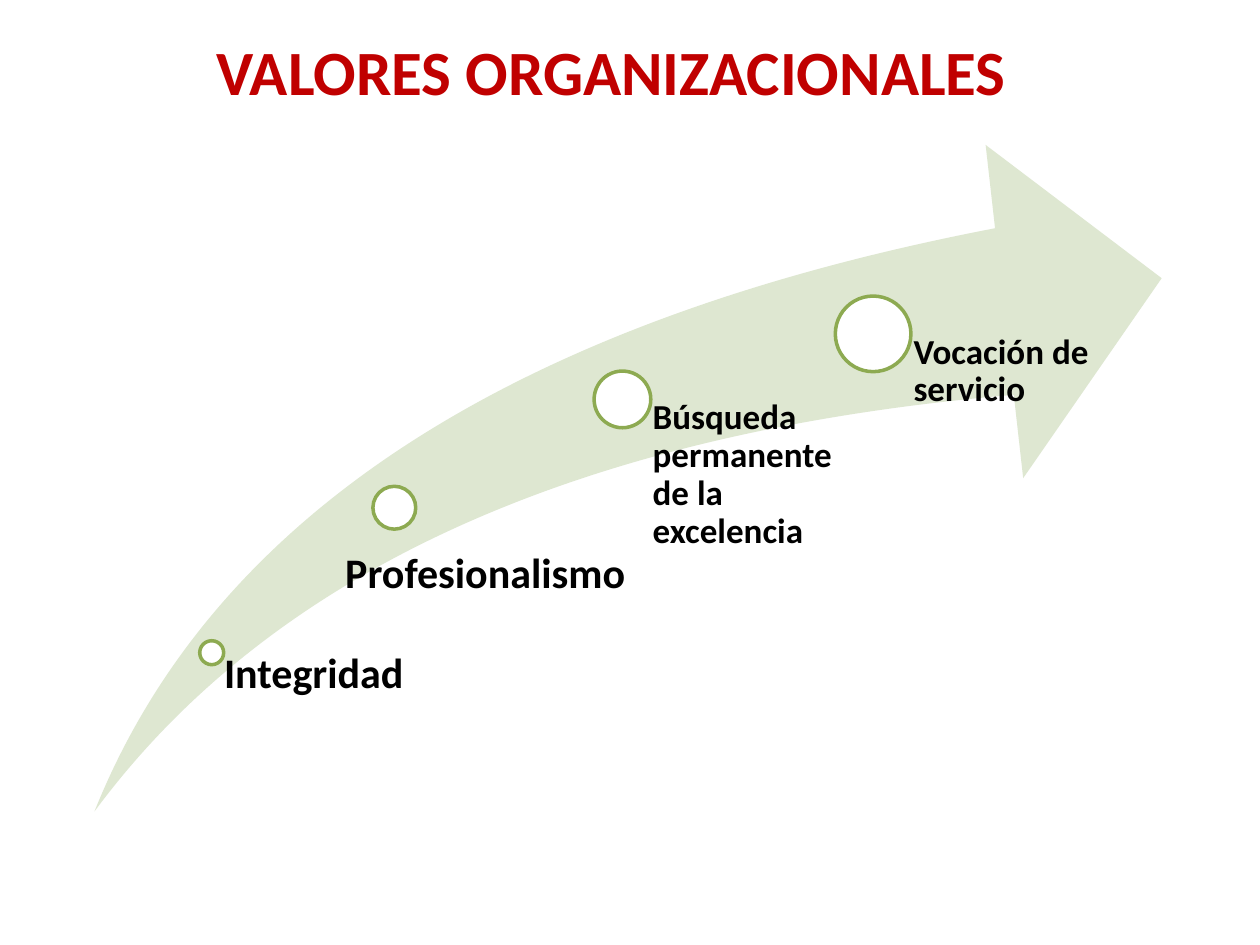
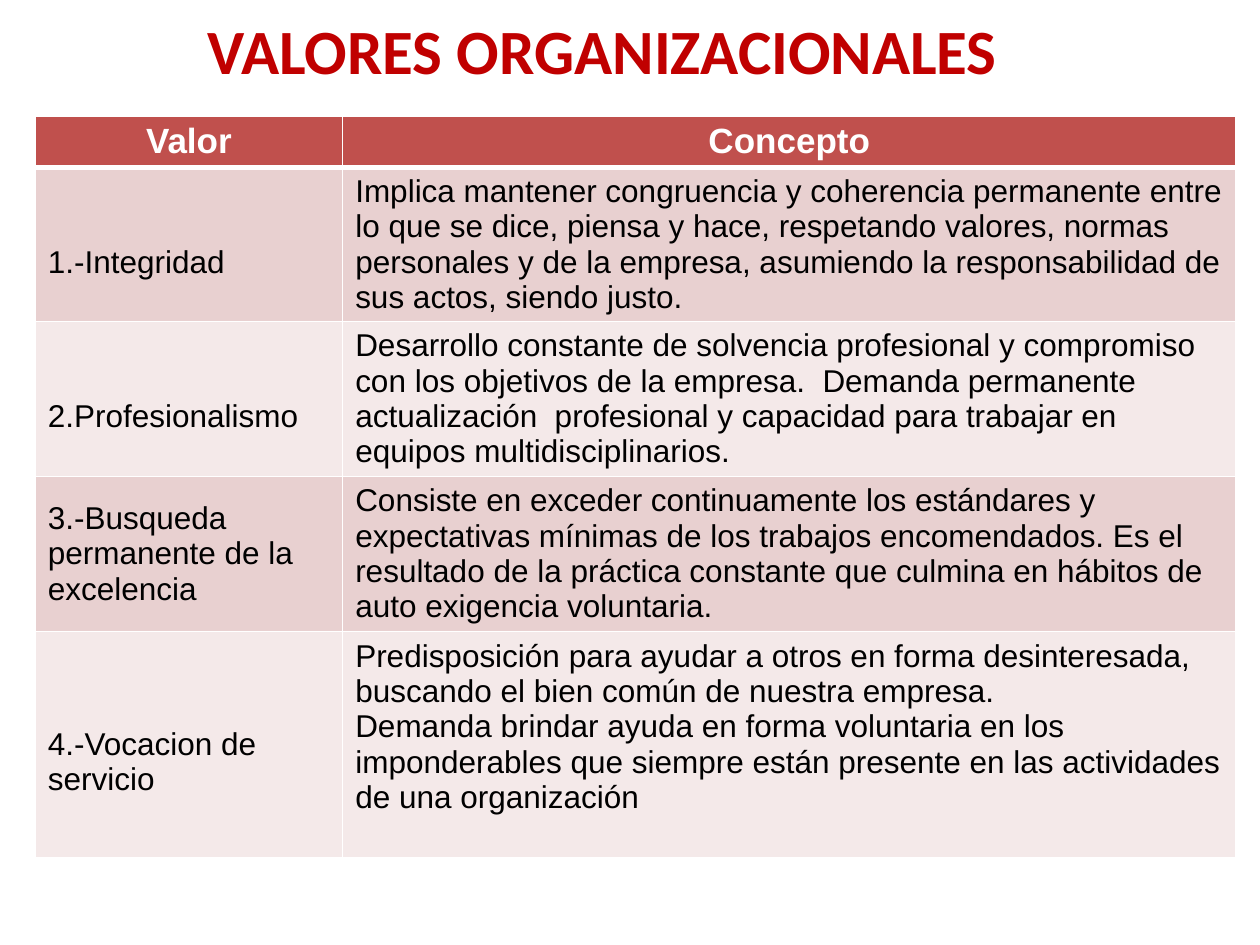
"""Builds two slides on organisational values: a rising arrow and a table."""
from lxml.etree import fromstring
from pptx import Presentation
from pptx.dml.color import RGBColor
from pptx.enum.shapes import MSO_SHAPE
from pptx.enum.text import MSO_ANCHOR, PP_ALIGN
from pptx.oxml.ns import nsdecls
from pptx.util import Inches, Pt

TITLE = "VALORES ORGANIZACIONALES"
HUES = {
    "title": "C00000", "swoosh": "DEE7D1", "ring": "8DAA51", "head": "C0504D",
    "odd": "E8D0D0", "even": "F4E9E9", "white": "FFFFFF", "black": "000000",
}

ARROW = (0.75, 1.15, 8.47, 5.29)
BASE = ARROW[1] + ARROW[3]
# label, size, circle centre, diameter, label corner (None: the centre), width, inset
STEPS = [
    ("Integridad", 24, (1.68, 5.18), 0.19, None, 2.2, 0.1),
    ("Profesionalismo", 24, (3.13, 4.03), 0.34, (2.56, 4.38), 2.68, 0.18),
    ("Búsqueda permanente de la excelencia", 20, (4.94, 3.17), 0.45, None, 1.78, 0.24),
    ("Vocación de servicio", 20, (6.93, 2.65), 0.6, None, 1.78, 0.32),
]

HEADS = ("Valor", "Concepto")
COLS = (2.44, 7.09)
ROWS = (0.41, 1.22, 1.23, 1.23, 1.8)
PAD, LINE = 0.05, 0.28
# value, paragraphs, extra lines above the value, extra lines below the concept
VALUES = [
    ("1.-Integridad", [
        "Implica mantener congruencia y coherencia permanente entre lo que se dice, "
        "piensa y hace, respetando valores, normas personales y de la empresa, "
        "asumiendo la responsabilidad de sus actos, siendo justo."], 1, 0),
    ("2.Profesionalismo", [
        "Desarrollo constante de solvencia profesional y compromiso con los objetivos "
        "de la empresa.  Demanda permanente actualización  profesional y capacidad "
        "para trabajar en equipos multidisciplinarios."], 1, 0),
    ("3.-Busqueda permanente de la excelencia", [
        "Consiste en exceder continuamente los estándares y expectativas mínimas de "
        "los trabajos encomendados. Es el resultado de la práctica constante que "
        "culmina en hábitos de auto exigencia voluntaria."], 0, 0),
    ("4.-Vocacion de servicio", [
        "Predisposición para ayudar a otros en forma desinteresada, buscando el bien "
        "común de nuestra empresa.",
        "Demanda brindar ayuda en forma voluntaria en los imponderables que siempre "
        "están presente en las actividades de una organización"], 1, 1),
]


def hue(name):
    return RGBColor.from_string(HUES[name])


def write(frame, texts, size, color="black", bold=True, face="Calibri",
          align=PP_ALIGN.LEFT, pitch=1.0):
    frame.word_wrap = True
    frame.text = "\n".join(texts)
    for para in frame.paragraphs:
        para.alignment, para.line_spacing = align, pitch
        font = para.font
        font.name, font.size, font.bold = face, Pt(size), bold
        font.color.rgb = hue(color)


def new_slide(deck, left, top):
    slide = deck.slides.add_slide(deck.slide_layouts[5])
    title = slide.shapes.title
    title.left, title.top = Inches(left), Inches(top)
    title.width, title.height = Inches(9), Inches(0.69)
    write(title.text_frame, [TITLE], 36, "title", align=PP_ALIGN.CENTER)
    title.text_frame.vertical_anchor = MSO_ANCHOR.MIDDLE
    return slide


def add_form(slide, kind, box, fill, line=None):
    form = slide.shapes.add_shape(kind, *map(Inches, box))
    form.shadow.inherit = False
    form.fill.solid()
    form.fill.fore_color.rgb = hue(fill)
    if line:
        form.line.color.rgb, form.line.width = hue(line), Pt(2)
    else:
        form.line.fill.background()
    return form


def add_step(slide, text, size, centre, wide, corner, width, inset):
    x, y = centre
    add_form(slide, MSO_SHAPE.OVAL, (x - wide / 2, y - wide / 2, wide, wide),
             "white", "ring")
    left, top = corner or centre
    height = 0.81 if corner else BASE - top
    frame = slide.shapes.add_textbox(*map(Inches, (left, top, width, height))).text_frame
    frame.margin_left = Inches(inset)
    frame.margin_top = frame.margin_right = frame.margin_bottom = 0
    write(frame, [text], size, pitch=0.9)


def paint(cell, fill, top, bottom):
    cell.vertical_anchor = MSO_ANCHOR.MIDDLE
    cell.fill.solid()
    cell.fill.fore_color.rgb = hue(fill)
    props = cell._tc.get_or_add_tcPr()
    for spot, (side, width) in enumerate(zip("LRTB", (1, 1, top, bottom))):
        props.insert(spot, fromstring(
            f'<a:ln{side} {nsdecls("a")} w="{Pt(width)}"><a:solidFill>'
            f'<a:srgbClr val="{HUES["white"]}"/></a:solidFill></a:ln{side}>'))


def add_grid(slide):
    table = slide.shapes.add_table(
        len(ROWS), len(COLS), Inches(0.28), Inches(0.92),
        Inches(sum(COLS)), Inches(sum(ROWS))).table
    for col, width in zip(table.columns, COLS):
        col.width = Inches(width)
    for row, height in zip(table.rows, ROWS):
        row.height = Inches(height)
    for col, text in enumerate(HEADS):
        cell = table.cell(0, col)
        write(cell.text_frame, [text], 20, "white", True, "Arial", PP_ALIGN.CENTER)
        paint(cell, "head", 1, 3)
    for row, (value, notes, above, below) in enumerate(VALUES, 1):
        cells = table.cell(row, 0), table.cell(row, 1)
        for cell, texts in zip(cells, ([value], notes)):
            write(cell.text_frame, texts, 18, bold=False, face="Arial")
            paint(cell, "odd" if row % 2 else "even", 3 if row == 1 else 1, 1)
        cells[0].margin_top = Inches(PAD + above * LINE)
        cells[1].margin_bottom = Inches(PAD + below * LINE)


def main():
    deck = Presentation()
    deck.slide_width, deck.slide_height = Inches(10), Inches(7.5)
    slide = new_slide(deck, 0.35, 0.21)
    swoosh = add_form(slide, MSO_SHAPE.SWOOSH_ARROW, ARROW, "swoosh")
    swoosh.adjustments[0] = swoosh.adjustments[1] = 0.25
    for step in STEPS:
        add_step(slide, *step)
    add_grid(new_slide(deck, 0.28, 0.05))
    deck.save("out.pptx")


if __name__ == "__main__":
    main()
